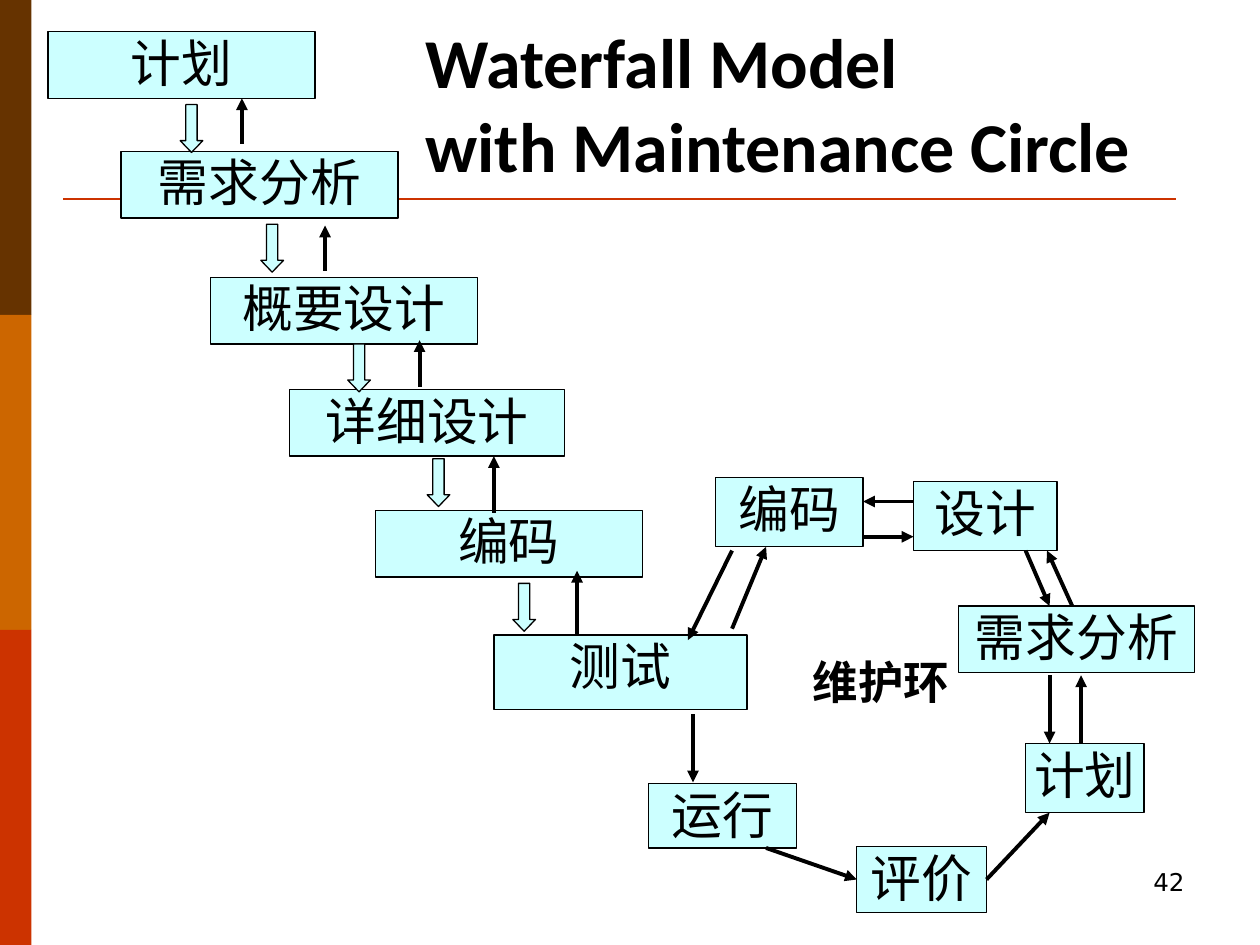
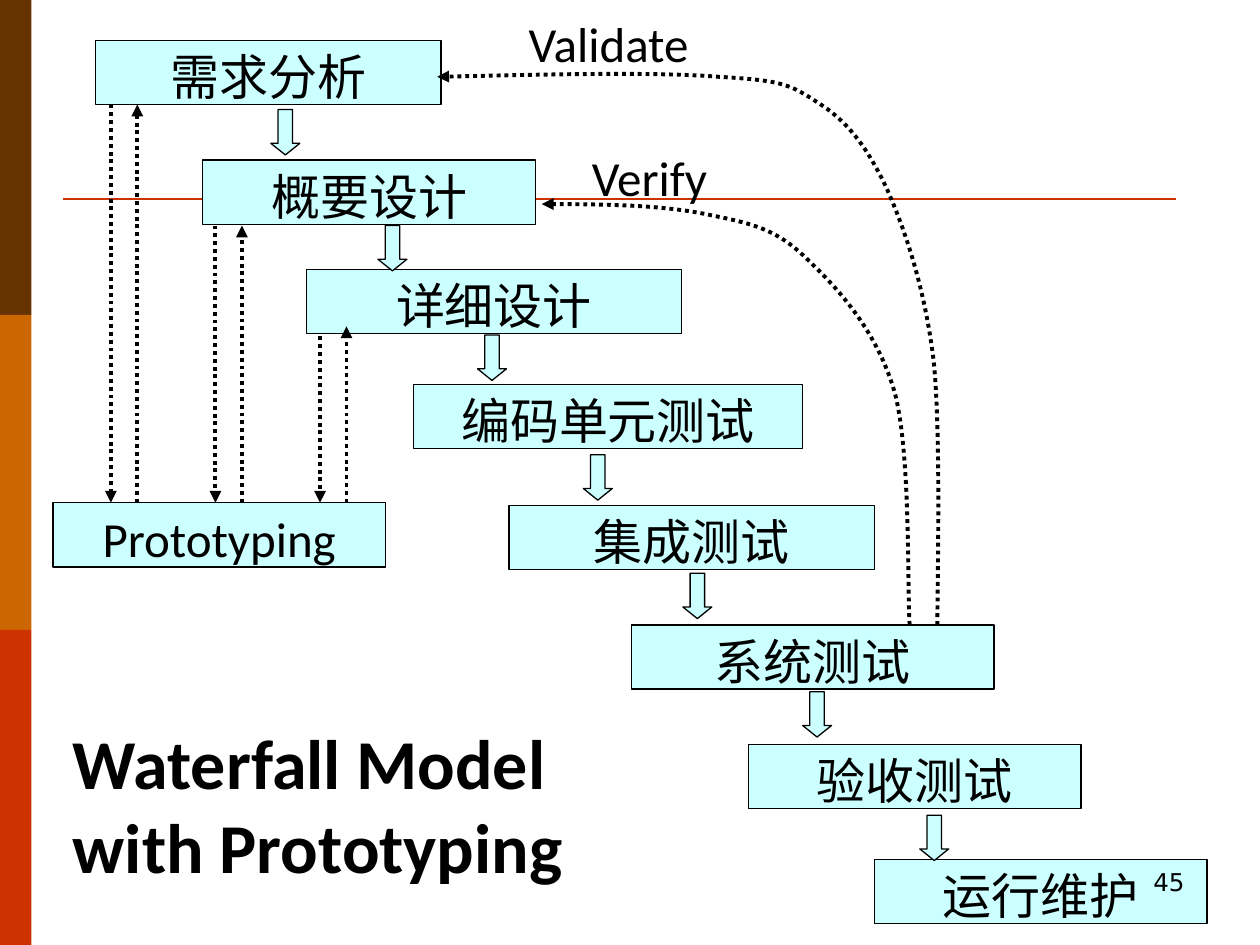
from lxml import etree
from pptx import Presentation
from pptx.dml.color import RGBColor
from pptx.enum.dml import MSO_LINE
from pptx.enum.shapes import MSO_CONNECTOR, MSO_SHAPE
from pptx.enum.text import MSO_ANCHOR, PP_ALIGN
from pptx.oxml.ns import qn
from pptx.util import Pt

PX = 9144
RECT, DOWN_ARROW = MSO_SHAPE.RECTANGLE, MSO_SHAPE.DOWN_ARROW
STRAIGHT = MSO_CONNECTOR.STRAIGHT
TOP, BOTTOM = MSO_ANCHOR.TOP, MSO_ANCHOR.BOTTOM
LEFT, CENTER, RIGHT = PP_ALIGN.LEFT, PP_ALIGN.CENTER, PP_ALIGN.RIGHT
DOTTED = MSO_LINE.ROUND_DOT
LEFT_SIDE, RIGHT_SIDE = 1, 3
COLORS = {
    "brown": "663300",
    "orange": "CC6600",
    "red": "CC3300",
    "box": "CCFFFF",
    "ink": "000000",
}
LATIN, CJK, NUMBER = "Calibri", "Noto Sans CJK SC", "DejaVu Sans"
TITLE_INSETS = (10, 5, 10, 5)


def rgb(name):
    """Look up a colour by name."""
    return RGBColor.from_string(COLORS[name])


def emu(*lengths):
    """Turn px lengths into EMU."""
    return [n * PX for n in lengths]


def set_text(shape, text, size, font, align=CENTER, insets=TITLE_INSETS,
             anchor=TOP, bold=False, wrap=True):
    """Write one paragraph with its font, alignment and insets."""
    tf = shape.text_frame
    tf.word_wrap = wrap
    tf.vertical_anchor = anchor
    tf.margin_left, tf.margin_top, tf.margin_right, tf.margin_bottom = emu(*insets)
    p = tf.paragraphs[0]
    p.text = text
    p.alignment = align
    p.font.size = Pt(size)
    p.font.bold = bold
    p.font.color.rgb = rgb("ink")
    p.font.name = font
    for props in shape.element.iter(qn("a:defRPr")):
        etree.SubElement(props, qn("a:ea")).set("typeface", CJK)


def add_label(s, at, text, size, font, **style):
    """Add a text box."""
    set_text(s.shapes.add_textbox(*emu(*at)), text, size, font, **style)


def add_block(s, kind, at, fill, outlined=True):
    """Add a filled preset shape."""
    sp = s.shapes.add_shape(kind, *emu(*at))
    sp.shadow.inherit = False
    sp.fill.solid()
    sp.fill.fore_color.rgb = rgb(fill)
    if outlined:
        sp.line.color.rgb = rgb("ink")
        sp.line.width = Pt(0.75)
    else:
        sp.line.fill.background()
    return sp


def add_step(s, at, text, size, font, insets):
    """Add a process step box."""
    sp = add_block(s, RECT, at, "box")
    set_text(sp, text, size, font, insets=insets)
    return sp


def add_down_arrows(s, corners, size, head):
    """Add equal block arrows at the given corners."""
    for corner in corners:
        add_block(s, DOWN_ARROW, (*corner, *size), "box").adjustments[1] = head


def style_line(line_shape, color, width, dash=None, arrow=True):
    """Set the stroke and arrowhead of a line."""
    line = line_shape.line
    line.color.rgb = rgb(color)
    line.width = Pt(width)
    if dash:
        line.dash_style = dash
    if arrow:
        ln = line_shape.element.spPr.find(qn("a:ln"))
        etree.SubElement(ln, qn("a:tailEnd")).set("type", "triangle")


def add_line(s, points, color="ink", width=2.25, **style):
    """Add a straight connector."""
    c = s.shapes.add_connector(STRAIGHT, *emu(*points))
    style_line(c, color, width, **style)
    etree.SubElement(c.element.spPr, qn("a:effectLst"))
    return c


def add_curve(s, points):
    """Add a dotted arrow along cubic Bézier points."""
    builder = s.shapes.build_freeform(*points[0], scale=PX)
    builder.add_line_segments(points[1:], close=False)
    sp = builder.convert_to_shape()
    sp.shadow.inherit = False
    sp.fill.background()
    style_line(sp, "ink", 2.25, DOTTED)
    segments = list(sp.element.iter(qn("a:lnTo")))
    for i in range(0, len(segments), 3):
        curve = etree.Element(qn("a:cubicBezTo"))
        segments[i].addprevious(curve)
        for segment in segments[i:i + 3]:
            curve.append(segment[0])
            segment.getparent().remove(segment)


def add_base(prs):
    """Add a slide with the side bands and rule."""
    s = prs.slides.add_slide(prs.slide_layouts[6])
    for i, color in enumerate(("brown", "orange", "red")):
        add_block(s, RECT, (0, 250 * i, 25, 250), color, outlined=False)
    add_line(s, (50, 158, 933, 158), "red", 1.5, arrow=False)
    return s


def add_title_and_number(s, at, title, number):
    """Add the title and the slide number."""
    add_label(s, at, title, 40, LATIN, align=LEFT, anchor=BOTTOM, bold=True)
    add_label(s, (717, 683, 233, 50), number, 14, NUMBER, align=RIGHT)


def build_maintenance(prs):
    """Build the waterfall with its maintenance circle."""
    s = add_base(prs)
    insets = (4, 0, 4, 4)
    steps = [
        ("计划", 38, 25, 212, 53),
        ("需求分析", 96, 120, 220, 53),
        ("概要设计", 167, 220, 212, 53),
        ("详细设计", 230, 309, 218, 53),
        ("编码", 298, 405, 212, 53),
        ("测试", 392, 504, 201, 59),
        ("计划", 814, 590, 94, 55),
        ("需求分析", 761, 481, 187, 53),
        ("运行", 515, 622, 117, 51),
        ("编码", 568, 379, 117, 55),
        ("设计", 725, 382, 114, 55),
    ]
    for text, *at in steps:
        add_step(s, at, text, 29, CJK, insets)
    evaluation = add_step(s, (680, 672, 103, 52), "评价", 29, CJK, insets)
    add_label(s, (623, 519, 153, 48), "维护环", 26, CJK, insets=insets, bold=True)

    corners = [(143, 83), (207, 178), (276, 273), (339, 364), (407, 463)]
    add_down_arrows(s, corners, (18, 38), 0.52)
    for x, start, end in [(192, 114, 78), (258, 215, 179), (333, 307, 270),
                          (392, 407, 362), (458, 504, 453)]:
        add_line(s, (x, start, x, end))

    circle = [
        (550, 567, 550, 621),
        (858, 590, 858, 536),
        (833, 536, 833, 590),
        (851, 481, 831, 437),
        (814, 437, 833, 481),
        (725, 398, 685, 398),
        (685, 426, 725, 426),
        (581, 437, 546, 508),
        (581, 499, 608, 434),
    ]
    for points in circle:
        add_line(s, points)
    add_line(s, (608, 673, 680, 698)).end_connect(evaluation, LEFT_SIDE)
    add_line(s, (783, 698, 833, 645)).begin_connect(evaluation, RIGHT_SIDE)
    add_title_and_number(s, (328, 28, 672, 125),
                         "Waterfall Model \vwith Maintenance Circle", "42")


def build_prototyping(prs):
    """Build the waterfall with prototyping and feedback curves."""
    s = add_base(prs)
    steps = [
        ("需求分析", 76, 32, 274),
        ("概要设计", 161, 127, 264),
        ("详细设计", 243, 214, 298),
        ("编码单元测试", 328, 305, 309),
        ("集成测试", 404, 401, 290),
        ("系统测试", 501, 496, 288),
        ("验收测试", 594, 591, 264),
        ("运行维护", 694, 682, 264),
        ("Prototyping", 42, 399, 264),
    ]
    for text, x, y, width in steps:
        add_step(s, (x, y, width, 51), text, 28, LATIN, (9, 5, 9, 5))

    corners = [(215, 87), (300, 179), (379, 266), (463, 361), (542, 455),
               (637, 549), (730, 647)]
    add_down_arrows(s, corners, (23, 36), 0.4)
    for i, (start, end) in enumerate([(83, 83), (179, 179), (267, 259)]):
        x = 88 + 83 * i
        add_line(s, (x, start, x, 399), dash=DOTTED)
        add_line(s, (x + 21, 399, x + 21, end), dash=DOTTED)

    add_curve(s, [(722, 496), (720, 465), (723, 359), (710, 311),
                  (696, 263), (666, 230), (642, 207),
                  (618, 183), (600, 178), (565, 171),
                  (529, 163), (480, 162), (430, 162)])
    add_curve(s, [(744, 496), (744, 461), (747, 344), (741, 286),
                  (734, 229), (719, 184), (704, 150),
                  (688, 116), (672, 96), (650, 82),
                  (627, 67), (622, 64), (571, 61),
                  (521, 57), (435, 59), (347, 61)])
    for text, *at in [("Validate", 408, 6, 150, 57), ("Verify", 459, 112, 113, 57)]:
        add_label(s, at, text, 28, LATIN, wrap=False)
    add_title_and_number(s, (48, 556, 515, 153),
                         "Waterfall Model \vwith Prototyping", "45")


def main():
    """Build and save the deck."""
    prs = Presentation()
    prs.slide_width, prs.slide_height = emu(1000, 750)
    build_maintenance(prs)
    build_prototyping(prs)
    prs.save("out.pptx")


if __name__ == "__main__":
    main()
